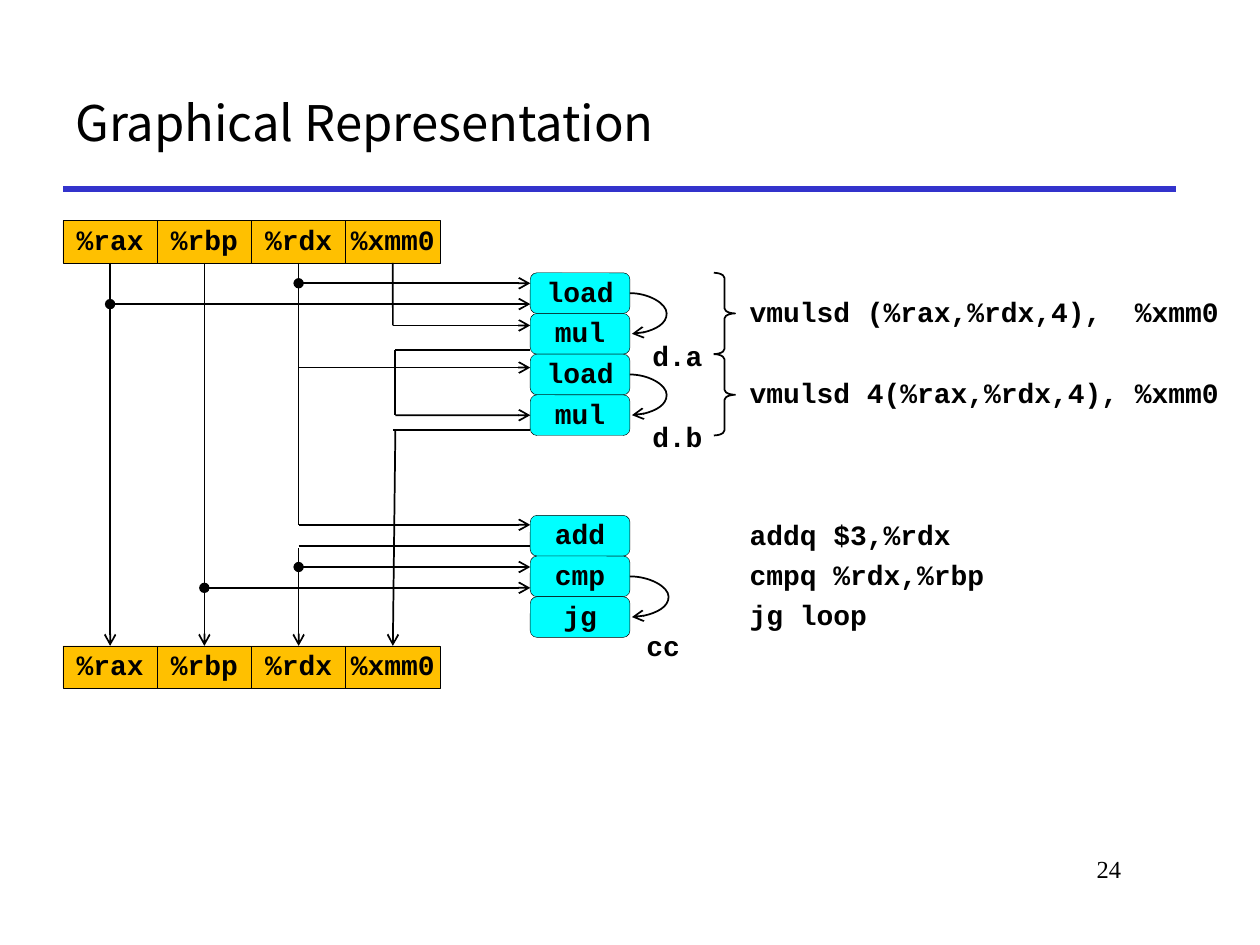
from lxml.etree import SubElement
from pptx import Presentation
from pptx.dml.color import RGBColor
from pptx.enum.shapes import MSO_CONNECTOR, MSO_SHAPE
from pptx.enum.text import MSO_ANCHOR, MSO_AUTO_SIZE, PP_ALIGN
from pptx.oxml.ns import qn
from pptx.util import Cm, Pt

COLORS = {"text": "000000", "rule": "3333CC", "register": "FFC000", "operation": "00FFFF"}
CODE = {"name": "Courier New", "size": Pt(16), "bold": True}
TITLE = {"name": "Noto Sans CJK KR", "size": Pt(28), "bold": False}
NUMBER = {"name": "Times New Roman", "size": Pt(14), "bold": False}
NO_MARGINS = {"margin_left": 0, "margin_right": 0, "margin_top": 0, "margin_bottom": 0}
CENTERED = {"vertical_anchor": MSO_ANCHOR.MIDDLE, "word_wrap": True}


def write_text(shape, text, font_format, frame_format, alignment=PP_ALIGN.LEFT):
    for name, value in frame_format.items():
        setattr(shape.text_frame, name, value)
    paragraph = shape.text_frame.paragraphs[0]
    paragraph.alignment = alignment
    paragraph.line_spacing = 0.9
    run = paragraph.add_run()
    run.text = text
    for name, value in font_format.items():
        setattr(run.font, name, value)
    run.font.color.rgb = RGBColor.from_string(COLORS["text"])


def add_wire(start, end, head=None, tail=None, kind=MSO_CONNECTOR.STRAIGHT, color="text", width=1):
    """Add a connector between two points in cm, with optional line ends."""
    wire = slide.shapes.add_connector(kind, *(Cm(value) for value in (*start, *end)))
    wire.line.color.rgb = RGBColor.from_string(COLORS[color])
    wire.line.width = Pt(width)
    line = wire.line._get_or_add_ln()
    for tag, end_type in (("a:headEnd", head), ("a:tailEnd", tail)):
        if end_type:
            SubElement(line, qn(tag), type=end_type)
    SubElement(wire._element.spPr, qn("a:effectLst"))
    return wire


presentation = Presentation()
presentation.slide_width, presentation.slide_height = Cm(25.4), Cm(19.05)
slide = presentation.slides.add_slide(presentation.slide_layouts[5])

# Title, rule and page number
title = slide.shapes.title
title.left, title.top, title.width, title.height = Cm(1.27), Cm(1.27), Cm(22.43), Cm(2.54)
write_text(title, "Graphical Representation", TITLE, {**CENTERED, "auto_size": MSO_AUTO_SIZE.NONE})
add_wire((1.27, 3.81), (23.7, 3.81), color="rule", width=3)
page_number = slide.shapes.add_textbox(Cm(19.25), Cm(17.15), Cm(3.6), Cm(1.27))
write_text(page_number, "24", NUMBER, {"word_wrap": True}, PP_ALIGN.RIGHT)

# Register rows and operation stacks
register_left, register_width, register_height = 1.27, 1.9, 0.85
top_row, bottom_row = 4.45, 13.02
operation_left, operation_width, operation_height = 10.69, 2.01, 0.82
loop_top, update_top = 5.5, 10.39

cells = []
for row_top in (top_row, bottom_row):
    for index, name in enumerate(("%rax", "%rbp", "%rdx", "%xmm0")):
        left = register_left + index * register_width
        cells.append((name, MSO_SHAPE.RECTANGLE, "register", left, row_top, register_width, register_height))
for stack_top, names in ((loop_top, ("load", "mul", "load", "mul")), (update_top, ("add", "cmp", "jg"))):
    for index, name in enumerate(names):
        top = stack_top + index * operation_height
        cells.append((name, MSO_SHAPE.ROUNDED_RECTANGLE, "operation",
                      operation_left, top, operation_width, operation_height))

boxes = []
for name, kind, color, *place in cells:
    box = slide.shapes.add_shape(kind, *(Cm(value) for value in place))
    box.shadow.inherit = False
    box.fill.solid()
    box.fill.fore_color.rgb = RGBColor.from_string(COLORS[color])
    box.line.color.rgb = RGBColor.from_string(COLORS["text"])
    box.line.width = Pt(0.25)
    write_text(box, name, CODE, {**NO_MARGINS, **CENTERED}, PP_ALIGN.CENTER)
    boxes.append(box)
top_registers, bottom_registers, operations = boxes[:4], boxes[4:8], boxes[8:]

# Vertical wires
rax, rbp, rdx, xmm0 = (register_left + (index + 0.5) * register_width for index in range(4))
row_bottom = top_row + register_height
feedback = 7.97
for column, x, start_y, end_y in (
    (0, rax, None, None),
    (1, rbp, None, None),
    (2, rdx, None, 10.58),
    (2, rdx, 11.05, None),
    (3, xmm0, None, 6.56),
    (3, feedback, 8.67, None),
):
    end_x = xmm0 if column == 3 else x
    wire = add_wire((x, start_y or row_bottom), (end_x, end_y or bottom_row),
                    tail=None if end_y else "arrow")
    if start_y is None:
        wire.begin_connect(top_registers[column], 2)
    if end_y is None:
        wire.end_connect(bottom_registers[column], 0)

# Horizontal wires
for x, y, head, tail in (
    (rdx, 5.71, "oval", "arrow"),
    (rax, 6.13, "oval", "arrow"),
    (xmm0, 6.56, None, "arrow"),
    (feedback, 7.06, None, None),
    (rdx, 7.41, None, "arrow"),
    (xmm0, 8.67, None, None),
    (rdx, 10.58, None, "arrow"),
    (rdx, 11.0, None, None),
    (rdx, 11.43, "oval", "arrow"),
    (rbp, 11.85, "oval", "arrow"),
):
    add_wire((x, y), (operation_left, y), head, tail)

# Product fed back into the second multiplication
second_mul_middle = loop_top + 3.5 * operation_height
add_wire((feedback, 7.06), (feedback, second_mul_middle))
wire = add_wire((feedback, second_mul_middle), (operation_left, second_mul_middle), tail="arrow")
wire.end_connect(operations[3], 1)

# Curved arrows between neighbouring operations, with their labels
operation_right = operation_left + operation_width
curve_width = 0.04
for label, start_y, bulge, left, top, width in (
    ("d.a", loop_top + 0.5 * operation_height, 0.74, 12.9, 6.78, 1.55),
    ("d.b", loop_top + 2.5 * operation_height, 0.74, 12.9, 8.41, 1.55),
    ("cc", update_top + 1.5 * operation_height, 0.78, 12.78, 12.62, 1.2),
):
    curve = add_wire((operation_right, start_y), (operation_right + curve_width, start_y + operation_height),
                     tail="arrow", kind=MSO_CONNECTOR.CURVE)
    adjustments = curve._element.spPr.find(qn("a:prstGeom")).get_or_add_avLst()
    SubElement(adjustments, qn("a:gd"), name="adj1", fmla=f"val {round(bulge / curve_width * 100000)}")
    label_box = slide.shapes.add_textbox(Cm(left), Cm(top), Cm(width), Cm(0.89))
    write_text(label_box, label, CODE, {"word_wrap": False, "auto_size": MSO_AUTO_SIZE.SHAPE_TO_FIT_TEXT})

# Instructions and the braces that group their operations
for text, top, width in (
    ("vmulsd (%rax,%rdx,4),  %xmm0", 5.89, 10.16),
    ("vmulsd 4(%rax,%rdx,4), %xmm0", 7.53, 10.16),
    ("addq $3,%rdx", 10.39, 6.99),
    ("cmpq %rdx,%rbp", 11.2, 6.99),
    ("jg loop", 12.01, 6.99),
):
    instruction = slide.shapes.add_shape(MSO_SHAPE.ROUNDED_RECTANGLE, Cm(14.82), Cm(top), Cm(width), Cm(0.85))
    instruction.shadow.inherit = False
    instruction.fill.background()
    instruction.line.fill.background()
    write_text(instruction, text, CODE, CENTERED)

for pair in range(2):
    brace_height = 2 * operation_height
    brace = slide.shapes.add_shape(MSO_SHAPE.RIGHT_BRACE, Cm(14.39), Cm(loop_top + pair * brace_height),
                                   Cm(0.43), Cm(brace_height))
    brace.shadow.inherit = False
    brace.adjustments[0] = 0.24
    brace.fill.background()
    brace.line.color.rgb = RGBColor.from_string(COLORS["text"])
    brace.line.width = Pt(1)

presentation.save("out.pptx")
